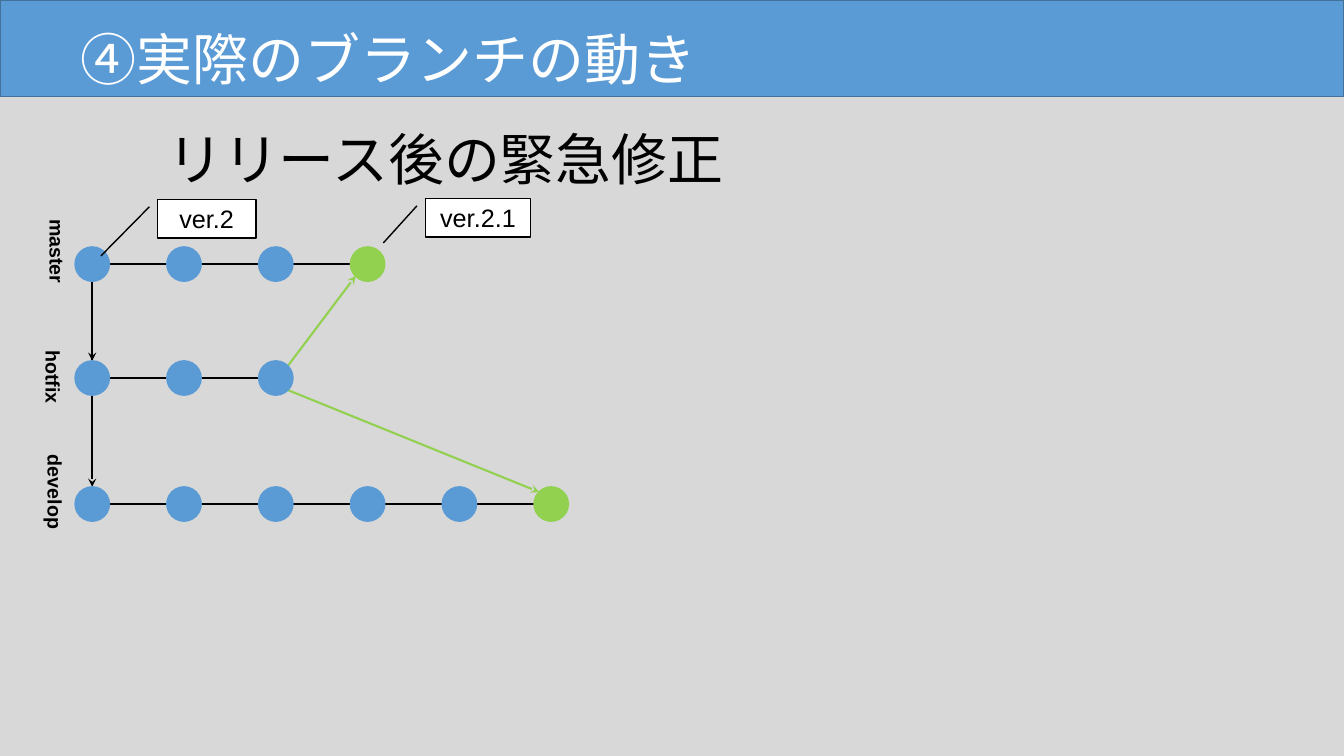
from dataclasses import dataclass

from lxml import etree
from pptx import Presentation
from pptx import util as u
from pptx.dml.color import RGBColor
from pptx.enum import shapes, text
from pptx.oxml import ns

BLUE = RGBColor(0x5B, 0x9B, 0xD5)
NAVY = RGBColor(0x42, 0x71, 0x9B)
GREEN = RGBColor(0x92, 0xD0, 0x50)
GRAY = RGBColor(0xD8, 0xD8, 0xD8)
BLACK = RGBColor(0, 0, 0)
WHITE = RGBColor(0xFF, 0xFF, 0xFF)

WIDTH, HEIGHT = u.Inches(13.333), u.Inches(7.5)
FIRST_COLUMN, COLUMN_STEP = 6.86, 6.83
ROWS = (34.93, 50, 66.67)
MASTER, HOTFIX, DEVELOP = range(3)
DIAGONAL = 0.7


@dataclass(frozen=True)
class Area:
    left: float
    top: float
    width: float
    height: float

    def place(self) -> tuple[int, int, int, int]:
        return across(self.left), down(self.top), across(self.width), down(self.height)


@dataclass(frozen=True)
class Branch:
    name: str
    row: int
    commits: int
    merged: bool
    label: Area


@dataclass(frozen=True)
class Anchor:
    column: int
    row: int
    right: float = 0
    below: float = 0

    def point(self) -> tuple[int, int]:
        x = across(FIRST_COLUMN + self.column * COLUMN_STEP)
        y = down(ROWS[self.row])
        return x + int(self.right * RADIUS), y + int(self.below * RADIUS)


@dataclass(frozen=True)
class Link:
    start: Anchor
    end: Anchor
    color: RGBColor = BLACK
    arrow: bool = True


@dataclass(frozen=True)
class Callout:
    version: str
    area: Area
    pointer: tuple[float, float, float, float]


def across(share: float) -> int:
    return int(WIDTH * share / 100)


def down(share: float) -> int:
    return int(HEIGHT * share / 100)


RADIUS = across(1.28)

BRANCHES = (
    Branch("master", MASTER, 4, True, Area(0.08, 32.27, 8.03, 5.07)),
    Branch("hotfix", HOTFIX, 3, False, Area(0.75, 48.4, 6.38, 4.53)),
    Branch("develop", DEVELOP, 6, True, Area(-0.3, 64.4, 8.78, 4.53)),
)
LINKS = (
    Link(Anchor(0, MASTER, below=1), Anchor(0, DEVELOP, below=-1)),
    Link(Anchor(0, MASTER, below=1), Anchor(0, HOTFIX, below=-1)),
    Link(Anchor(2, HOTFIX, DIAGONAL, -DIAGONAL),
         Anchor(3, MASTER, -DIAGONAL, DIAGONAL), GREEN),
    Link(Anchor(2, HOTFIX, DIAGONAL, DIAGONAL),
         Anchor(5, DEVELOP, -DIAGONAL, -DIAGONAL), GREEN),
)
CALLOUTS = (
    Callout("ver.2", Area(11.7, 26.4, 7.35, 5.07), (0.19, -0.08, 1.47, -0.57)),
    Callout("ver.2.1", Area(31.65, 26.27, 7.83, 5.07), (0.19, -0.08, 1.16, -0.4)),
)


def write(box, wording: str, size: float, color: RGBColor, bold: bool = False,
          align=text.PP_ALIGN.LEFT, anchor=text.MSO_ANCHOR.TOP) -> None:
    frame = box.text_frame
    frame.word_wrap = True
    frame.auto_size = text.MSO_AUTO_SIZE.NONE
    frame.vertical_anchor = anchor
    para = frame.paragraphs[0]
    para.text = wording
    para.alignment = align
    para.font.name = "Arial"
    para.font.size = u.Pt(size)
    para.font.bold = bold
    para.font.color.rgb = color


def add_text(page, area: Area, wording: str, size: float, bold: bool = False):
    box = page.shapes.add_textbox(*area.place())
    write(box, wording, size, BLACK, bold)
    return box


def add_figure(page, kind, place: tuple[int, int, int, int],
               fill: RGBColor, line: RGBColor):
    figure = page.shapes.add_shape(kind, *place)
    figure.shadow.inherit = False
    figure.fill.solid()
    figure.fill.fore_color.rgb = fill
    figure.line.color.rgb = line
    figure.line.width = u.Pt(1)
    return figure


def add_link(page, link: Link) -> None:
    line = page.shapes.add_connector(
        shapes.MSO_CONNECTOR.STRAIGHT, *link.start.point(), *link.end.point())
    line.line.color.rgb = link.color
    line.line.width = u.Pt(1.5)
    if link.arrow:
        outline = line.line._get_or_add_ln()
        etree.SubElement(outline, ns.qn("a:tailEnd"), type="stealth")
    etree.SubElement(line._element.spPr, ns.qn("a:effectLst"))


def add_commits(page, branch: Branch) -> None:
    for column in range(branch.commits):
        x, y = Anchor(column, branch.row).point()
        last = column == branch.commits - 1
        color = GREEN if branch.merged and last else BLUE
        place = (x - RADIUS, y - RADIUS, 2 * RADIUS, 2 * RADIUS)
        add_figure(page, shapes.MSO_SHAPE.OVAL, place, color, color)


def add_callout(page, callout: Callout) -> None:
    box = add_figure(page, shapes.MSO_SHAPE.LINE_CALLOUT_1,
                     callout.area.place(), WHITE, BLACK)
    for index, share in enumerate(callout.pointer):
        box.adjustments[index] = share
    write(box, callout.version, 18, BLACK,
          align=text.PP_ALIGN.CENTER, anchor=text.MSO_ANCHOR.MIDDLE)


def add_header(page) -> None:
    banner = add_figure(page, shapes.MSO_SHAPE.RECTANGLE,
                        Area(0, 0, 100, 12.8).place(), BLUE, NAVY)
    title = page.shapes.title
    title._element.addprevious(banner._element)
    title.left, title.top, title.width, title.height = Area(
        5.25, 2.53, 74.55, 10.27).place()
    write(title, "④実際のブランチの動き", 40, WHITE)
    add_text(page, Area(11.7, 15.87, 84.68, 10.27), "リリース後の緊急修正", 40)


def main() -> None:
    deck = Presentation()
    deck.slide_width, deck.slide_height = WIDTH, HEIGHT
    page = deck.slides.add_slide(deck.slide_layouts[5])
    page.background.fill.solid()
    page.background.fill.fore_color.rgb = GRAY
    add_header(page)
    for branch in BRANCHES:
        add_text(page, branch.label, branch.name, 14, bold=True).rotation = 90
        add_link(page, Link(Anchor(0, branch.row, right=1),
                            Anchor(branch.commits - 1, branch.row, right=-1),
                            arrow=False))
    for link in LINKS:
        add_link(page, link)
    for branch in BRANCHES:
        add_commits(page, branch)
    for callout in CALLOUTS:
        add_callout(page, callout)
    deck.save("out.pptx")


if __name__ == "__main__":
    main()
